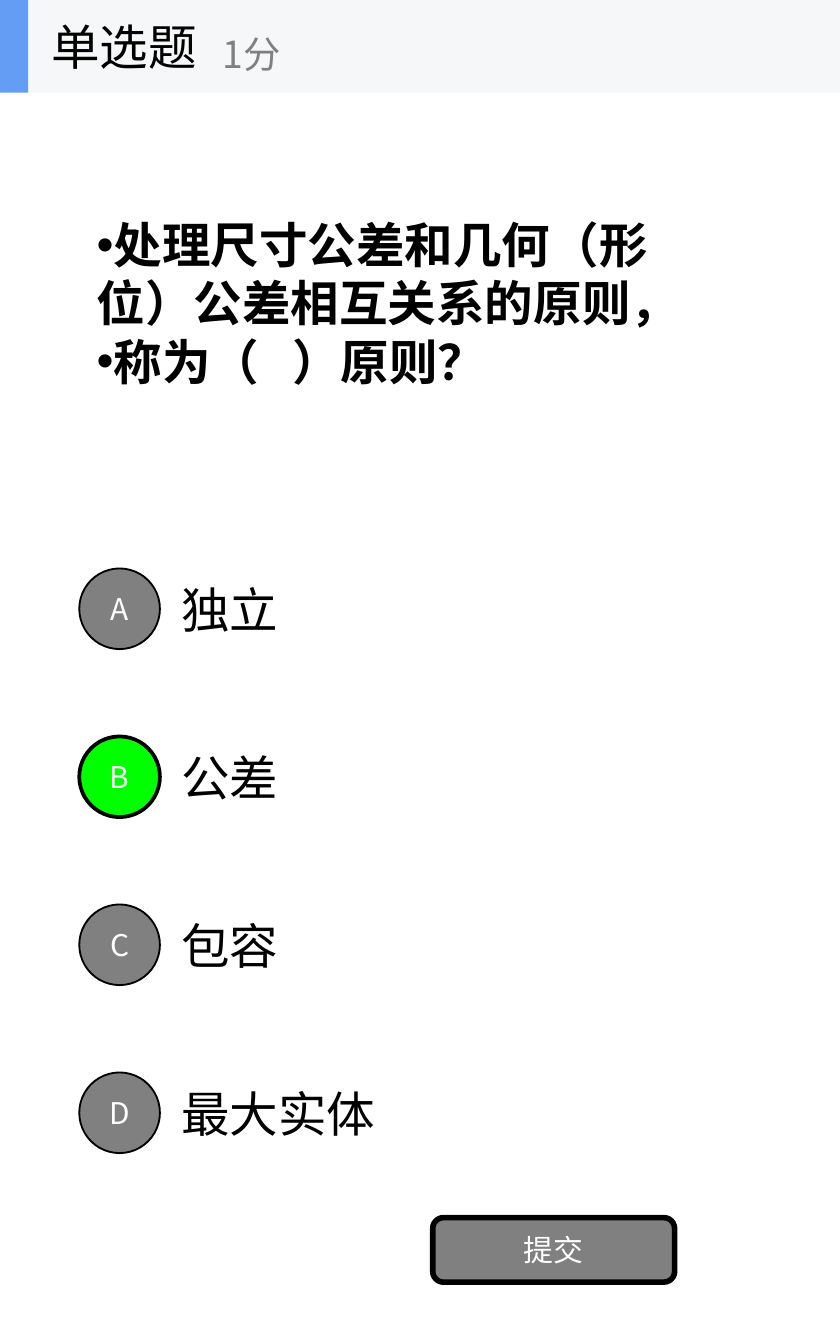
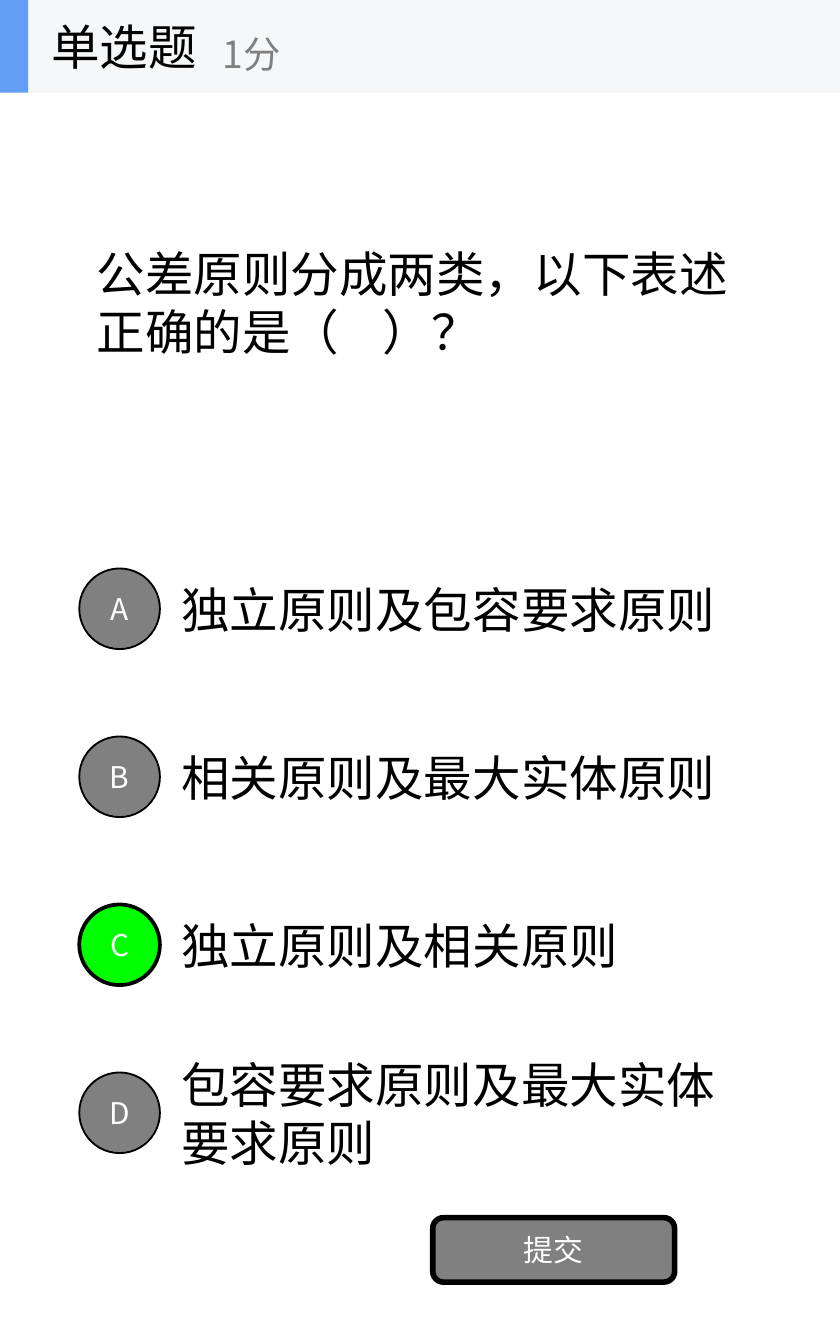
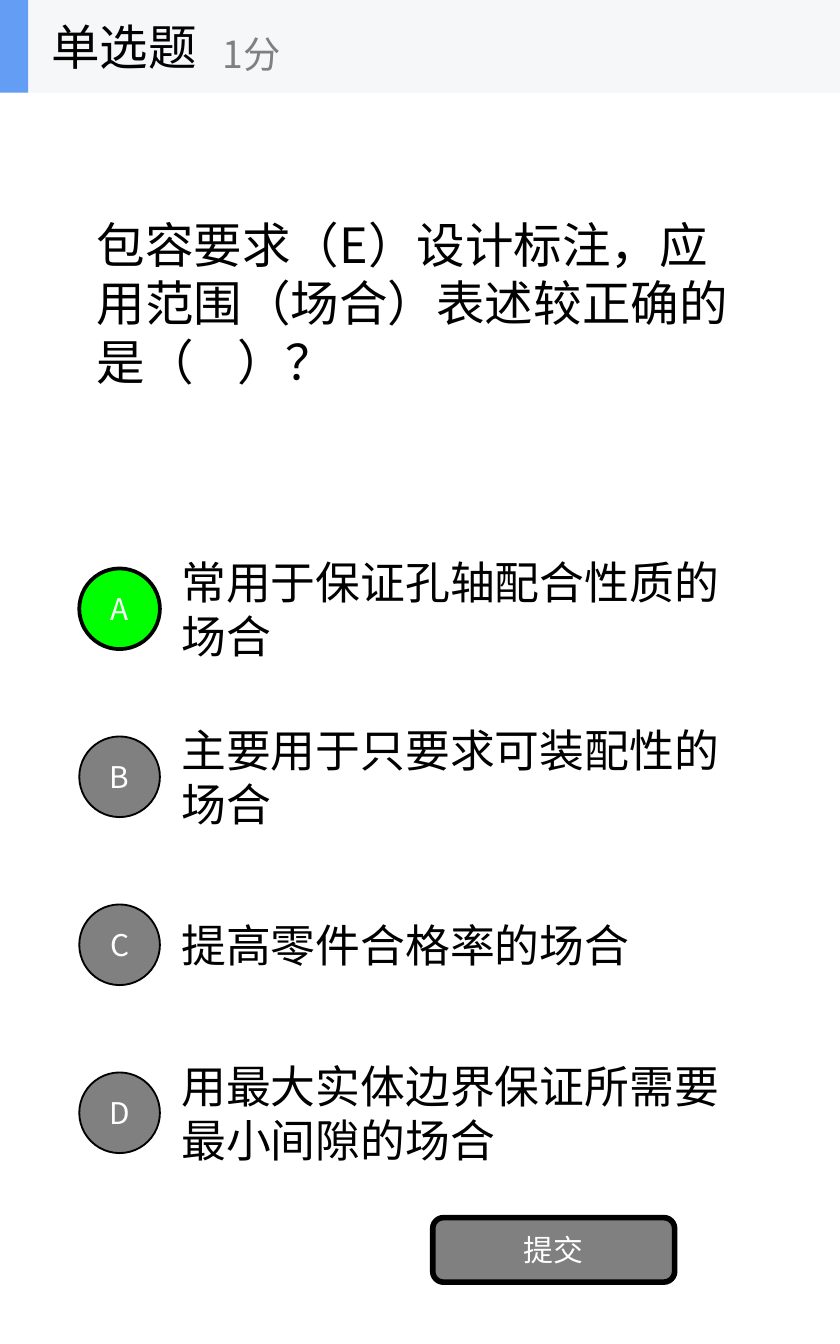
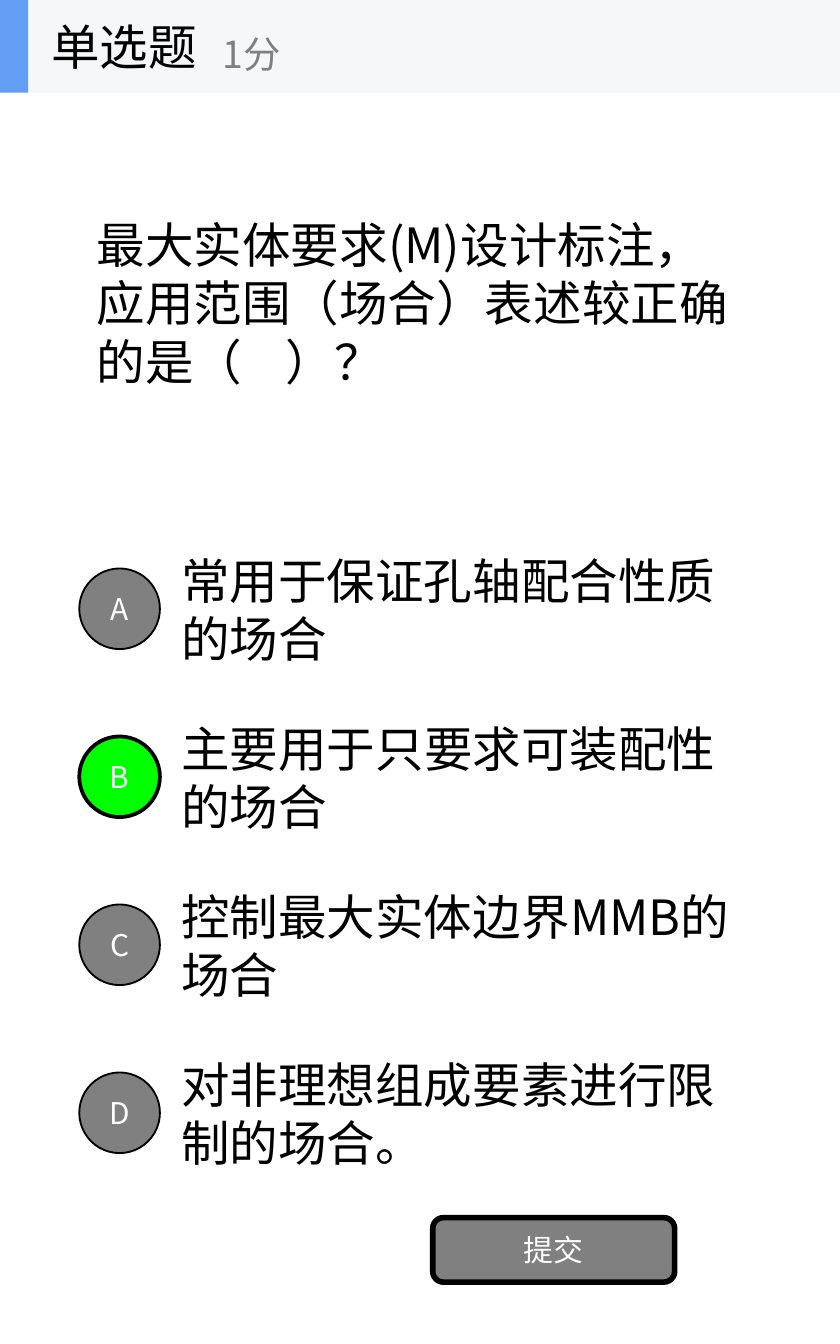
from lxml import etree
from pptx import Presentation
from pptx.dml.color import RGBColor
from pptx.enum.shapes import MSO_SHAPE
from pptx.enum.text import MSO_ANCHOR, MSO_AUTO_SIZE, PP_ALIGN
from pptx.oxml.ns import qn
from pptx.util import Inches, Pt

RECT = MSO_SHAPE.RECTANGLE
ROUNDED = MSO_SHAPE.ROUNDED_RECTANGLE
OVAL = MSO_SHAPE.OVAL
MIDDLE = MSO_ANCHOR.MIDDLE
NO_FIT = MSO_AUTO_SIZE.NONE
LEFT = PP_ALIGN.LEFT
CENTER = PP_ALIGN.CENTER

FONT = "Noto Sans CJK SC"
ACCENT_FONT = "Arial"
BLACK, WHITE, GRAY = "000000", "FFFFFF", "808080"
GREEN, BLUE, BAND = "00FF00", "639EF4", "F6F7F8"
PAGE_WIDTH, PAGE_HEIGHT = 6.25, 10
HEADER_BOX = (0, 0, PAGE_WIDTH, 0.69)
QUESTION_BOX = (0.62, 0.69, 5, 3.12)
CHOICES_BOX = (0.59, 4.06, 5.04, 0.94)
SUBMIT_BOX = (3.22, 9.06, 1.8, 0.48)
CHOICE_STEP = 1.25
MARKER_SIZE = 0.6

QUIZ = [
    {
        "question": ["处理尺寸公差和几何（形位）公差相互关系的原则，", "称为（   ）原则？"],
        "bulleted": True,
        "choices": ["独立", "公差", "包容", "最大实体"],
        "answer": "B",
        "size": 26,
    },
    {
        "question": ["公差原则分成两类，以下表述正确的是（    ）？"],
        "bulleted": False,
        "choices": [
            "独立原则及包容要求原则",
            "相关原则及最大实体原则",
            "独立原则及相关原则",
            "包容要求原则及最大实体要求原则",
        ],
        "answer": "C",
        "size": 26,
    },
    {
        "question": ["包容要求（E）设计标注，应用范围（场合）表述较正确的是（    ）？"],
        "bulleted": False,
        "choices": [
            "常用于保证孔轴配合性质的场合",
            ("主", "要用于只要求可装配性的场合"),
            "提高零件合格率的场合",
            "用最大实体边界保证所需要最小间隙的场合",
        ],
        "answer": "A",
        "size": 24,
    },
    {
        "question": ["最大实体要求(M)设计标注，应用范围（场合）表述较正确的是（    ）？"],
        "bulleted": False,
        "choices": [
            "常用于保证孔轴配合性质的场合",
            ("主", "要用于只要求可装配性的场合"),
            "控制最大实体边界MMB的场合",
            "对非理想组成要素进行限制的场合。",
        ],
        "answer": "B",
        "size": 26,
    },
]


def color(hex_code):
    return RGBColor.from_string(hex_code)


def style_span(span, size, hex_code, bold=False, font=FONT):
    span.font.size = Pt(size)
    span.font.bold = bold
    span.font.color.rgb = color(hex_code)
    span.font.name = font
    east_asian = etree.SubElement(span._r.get_or_add_rPr(), qn("a:ea"))
    east_asian.set("typeface", font)


def add_bullet(para):
    properties = para._p.get_or_add_pPr()
    properties.set("marL", "0")
    properties.set("indent", "0")
    etree.SubElement(properties, qn("a:buFont")).set("typeface", ACCENT_FONT)
    etree.SubElement(properties, qn("a:buChar")).set("char", "•")


def write(shape, lines, size, hex_code, align=LEFT, bold=False, wrap=True, bulleted=False):
    frame = shape.text_frame
    frame.auto_size = NO_FIT
    frame.word_wrap = wrap
    frame.vertical_anchor = MIDDLE
    for index, line in enumerate(lines):
        para = frame.paragraphs[0] if index == 0 else frame.add_paragraph()
        para.alignment = align
        if bulleted:
            add_bullet(para)
        if isinstance(line, tuple):
            for text, font in zip(line, (ACCENT_FONT, FONT)):
                span = para.add_run()
                span.text = text
                style_span(span, size, hex_code, bold, font)
        else:
            para.text = line
            style_span(para.runs[0], size, hex_code, bold)


def add_text(page, box, lines, size, hex_code=BLACK, **options):
    shape = page.shapes.add_textbox(*map(Inches, box))
    write(shape, lines, size, hex_code, **options)


def add_block(page, kind, box, fill, line_width=0):
    shape = page.shapes.add_shape(kind, *map(Inches, box))
    shape.shadow.inherit = False
    shape.fill.solid()
    shape.fill.fore_color.rgb = color(fill)
    if line_width:
        shape.line.color.rgb = color(BLACK)
        shape.line.width = Pt(line_width)
    else:
        shape.line.fill.background()
    return shape


def add_button(page, kind, box, label, fill, line_width):
    button = add_block(page, kind, box, fill, line_width)
    frame = button.text_frame
    frame.margin_left = frame.margin_right = frame.margin_top = frame.margin_bottom = 0
    write(button, [label], 16, WHITE, align=CENTER)


def draw_header(page, box):
    left, top, width, height = box
    add_block(page, RECT, box, BAND)
    add_block(page, RECT, (left, top, 0.21, height), BLUE)
    title = page.shapes.title
    title.left, title.top = Inches(left + 0.28), Inches(top)
    title.width, title.height = Inches(2.08), Inches(height)
    write(title, ["单选题"], 26, BLACK, wrap=False)
    page.shapes._spTree.append(title._element)
    add_text(page, (left + 1.56, top + 0.12, 2.5, 0.56), ["1分"], 20, GRAY, wrap=False)


def draw_choices(page, box, choices, answer, size):
    left, top, width, height = box
    text_offset = 0.66
    for index, (letter, choice) in enumerate(zip("ABCD", choices)):
        row_top = top + index * CHOICE_STEP
        add_text(page, (left + text_offset, row_top, width - text_offset, height), [choice], size)
        marker_box = (left, row_top + (height - MARKER_SIZE) / 2, MARKER_SIZE, MARKER_SIZE)
        fill, line_width = (GREEN, 2) if letter == answer else (GRAY, 1)
        add_button(page, OVAL, marker_box, letter, fill, line_width)


def draw_quiz_page(page, quiz):
    bulleted = quiz["bulleted"]
    add_text(page, QUESTION_BOX, quiz["question"], 26, bold=bulleted, bulleted=bulleted)
    draw_choices(page, CHOICES_BOX, quiz["choices"], quiz["answer"], quiz["size"])
    add_button(page, ROUNDED, SUBMIT_BOX, "提交", GRAY, 3)
    draw_header(page, HEADER_BOX)


def main():
    deck = Presentation()
    deck.slide_width, deck.slide_height = Inches(PAGE_WIDTH), Inches(PAGE_HEIGHT)
    title_only = deck.slide_layouts[5]
    for quiz in QUIZ:
        draw_quiz_page(deck.slides.add_slide(title_only), quiz)
    deck.save("out.pptx")


if __name__ == "__main__":
    main()
